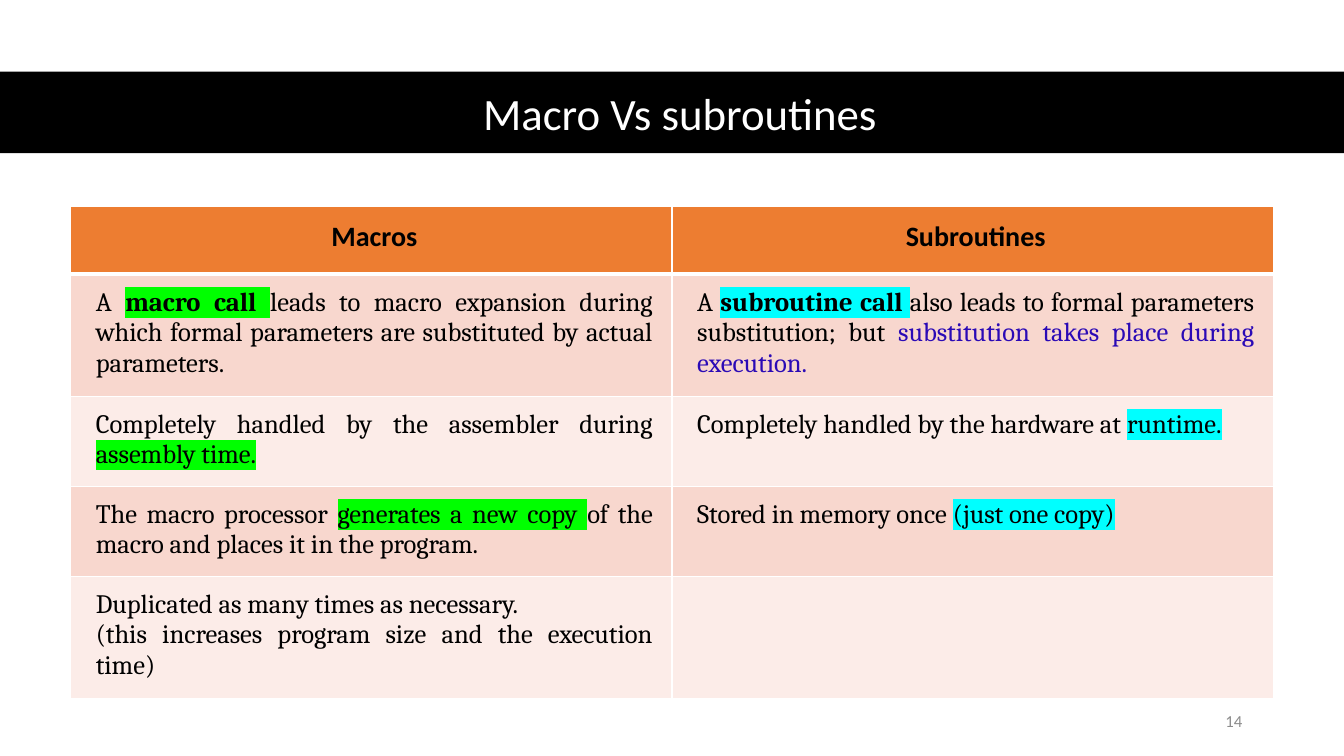
from lxml import etree
from pptx import Presentation
from pptx.dml.color import RGBColor
from pptx.enum.shapes import MSO_SHAPE
from pptx.enum.text import MSO_ANCHOR, PP_ALIGN
from pptx.oxml.ns import qn
from pptx.util import Inches, Pt

RECTANGLE = MSO_SHAPE.RECTANGLE
MIDDLE = MSO_ANCHOR.MIDDLE
LEFT, CENTER, RIGHT, JUSTIFY = PP_ALIGN.LEFT, PP_ALIGN.CENTER, PP_ALIGN.RIGHT, PP_ALIGN.JUSTIFY

COLORS = {
    "black": "000000",
    "white": "FFFFFF",
    "gray": "8C8C8C",
    "header": "ED7D31",
    "dark_band": "F8D7CE",
    "light_band": "FCECE8",
    "green": "00FF00",
    "cyan": "00FFFF",
    "violet": "2B0AB6",
}
PAGE_WIDTH, PAGE_HEIGHT = Inches(13.33), Inches(7.5)
ROW_HEIGHTS = [0.67, 1.16, 0.86, 0.86, 1.16]
CELL_MARGINS = {"left": 0.25, "top": 0.13, "right": 0.19, "bottom": 0.13}

HEADINGS = ["Macros", "Subroutines"]
COMPARISON = [
    [
        [(JUSTIFY, [("A ", {}), ("macro call ", {"bold": True, "highlight": "green"}),
                    ("leads to macro expansion during which formal parameters "
                     "are substituted by actual parameters.", {})])],
        [(JUSTIFY, [("A ", {}), ("subroutine call ", {"bold": True, "highlight": "cyan"}),
                    ("also leads to formal parameters substitution; but ", {}),
                    ("substitution takes place during execution. ", {"color": "violet"})])],
    ],
    [
        [(JUSTIFY, [("Completely handled by the assembler during ", {}),
                    ("assembly time.", {"highlight": "green"})])],
        [(JUSTIFY, [("Completely handled by the hardware at ", {}),
                    ("runtime.", {"highlight": "cyan"})])],
    ],
    [
        [(JUSTIFY, [("The macro processor ", {}),
                    ("generates a new copy ", {"highlight": "green"}),
                    ("of the macro and places it in the program.", {})])],
        [(LEFT, [("Stored in memory once ", {}),
                 ("(just one copy)", {"highlight": "cyan"})])],
    ],
    [
        [(LEFT, [("Duplicated as many times as necessary.", {})]),
         (JUSTIFY, [("(this increases program size and the execution time)", {})])],
        [],
    ],
]


def rgb(name):
    return RGBColor.from_string(COLORS[name])


def add_color(parent, tag, name):
    element = etree.SubElement(parent, qn(tag))
    etree.SubElement(element, qn("a:srgbClr"), val=COLORS[name])
    return element


def add_span(para, text, size, font, color="black", bold=False, highlight=None):
    span = para.add_run()
    span.text = text
    span.font.size = Pt(size)
    span.font.name = font
    span.font.bold = bold
    span.font.color.rgb = rgb(color)
    if highlight:
        properties = span.font._element
        marker = add_color(properties, "a:highlight", highlight)
        properties.find(qn("a:solidFill")).addnext(marker)


def add_label(page, box, text, size, color, align):
    frame = page.shapes.add_textbox(*box).text_frame
    frame.word_wrap = True
    frame.vertical_anchor = MIDDLE
    para = frame.paragraphs[0]
    para.alignment = align
    add_span(para, text, size, "Calibri", color)


def add_title_band(page, box):
    left, top, width, height = box
    band = page.shapes.add_shape(RECTANGLE, *box)
    band.shadow.inherit = False
    band.fill.solid()
    band.fill.fore_color.rgb = rgb("black")
    band.line.fill.background()
    text_box = (left + int(width * 0.046), top, int(width * 0.92), height)
    add_label(page, text_box, "Macro Vs subroutines", 32, "white", CENTER)


def style_cell(cell, fill, bottom_width):
    for side, margin in CELL_MARGINS.items():
        setattr(cell, "margin_" + side, Inches(margin))
    properties = cell._tc.get_or_add_tcPr()
    for side in "LRTB":
        width = bottom_width if side == "B" else 1
        border = etree.SubElement(properties, qn("a:ln" + side), w=str(Pt(width)))
        add_color(border, "a:solidFill", "white")
    cell.fill.solid()
    cell.fill.fore_color.rgb = rgb(fill)


def fill_cell(cell, paragraphs, size, font):
    frame = cell.text_frame
    for index, (align, spans) in enumerate(paragraphs):
        para = frame.add_paragraph() if index else frame.paragraphs[0]
        para.alignment = align
        for text, style in spans:
            add_span(para, text, size, font, **style)


def add_comparison(page, box):
    headings = [[(CENTER, [(heading, {"bold": True})])] for heading in HEADINGS]
    rows = [headings] + COMPARISON
    table = page.shapes.add_table(len(rows), len(HEADINGS), *box).table
    for column in table.columns:
        column.width = box[2] // len(HEADINGS)
    for row_index, row in enumerate(rows):
        table.rows[row_index].height = Inches(ROW_HEIGHTS[row_index])
        is_header = row_index == 0
        band = "dark_band" if row_index % 2 else "light_band"
        for column_index, paragraphs in enumerate(row):
            cell = table.cell(row_index, column_index)
            style_cell(cell, "header" if is_header else band, 3 if is_header else 1)
            fill_cell(cell, paragraphs, 20 if is_header else 19,
                      "Calibri" if is_header else "Cambria")


def main():
    deck = Presentation()
    deck.slide_width, deck.slide_height = PAGE_WIDTH, PAGE_HEIGHT
    page = deck.slides.add_slide(deck.slide_layouts[6])
    add_title_band(page, (0, Inches(0.71), PAGE_WIDTH, Inches(0.81)))
    add_label(page, (Inches(9.42), Inches(6.95), Inches(3), Inches(0.4)),
              "14", 12, "gray", RIGHT)
    add_comparison(page, (Inches(0.7), Inches(2.05), Inches(11.93), Inches(sum(ROW_HEIGHTS))))
    deck.save("out.pptx")


if __name__ == "__main__":
    main()
